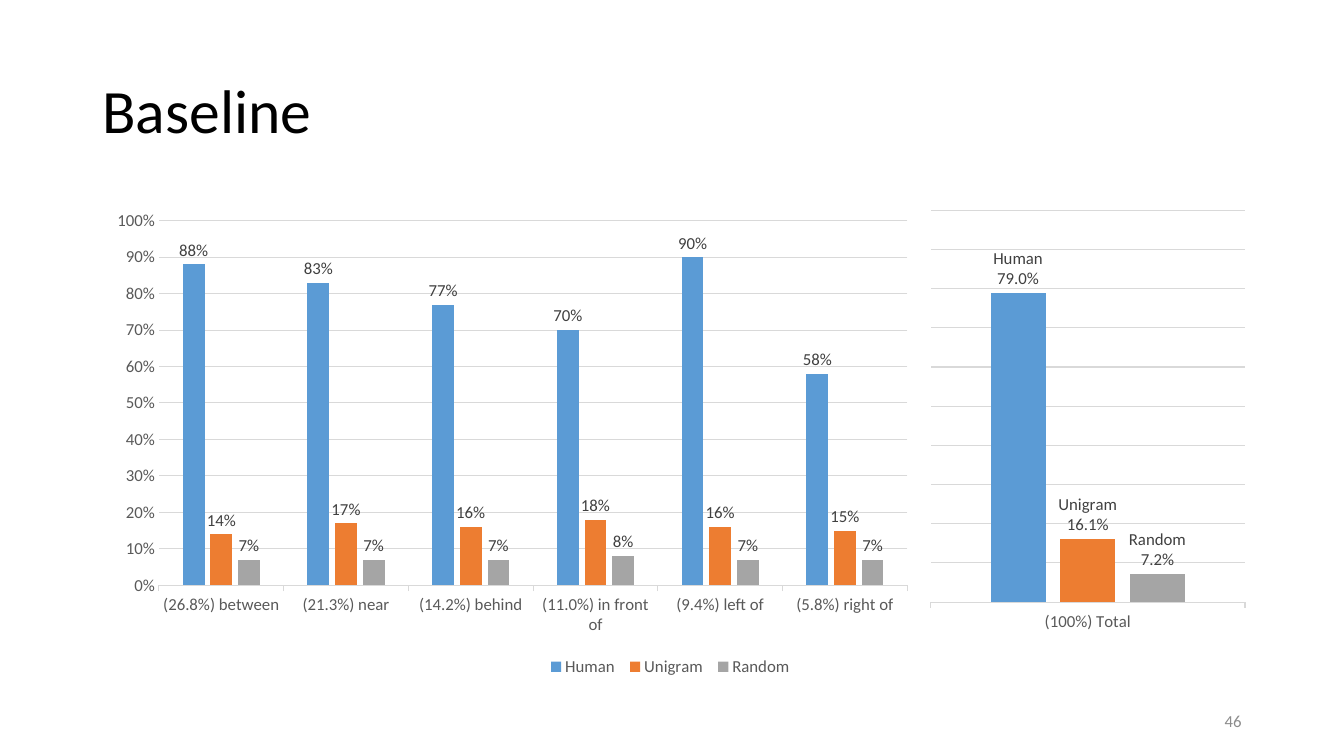
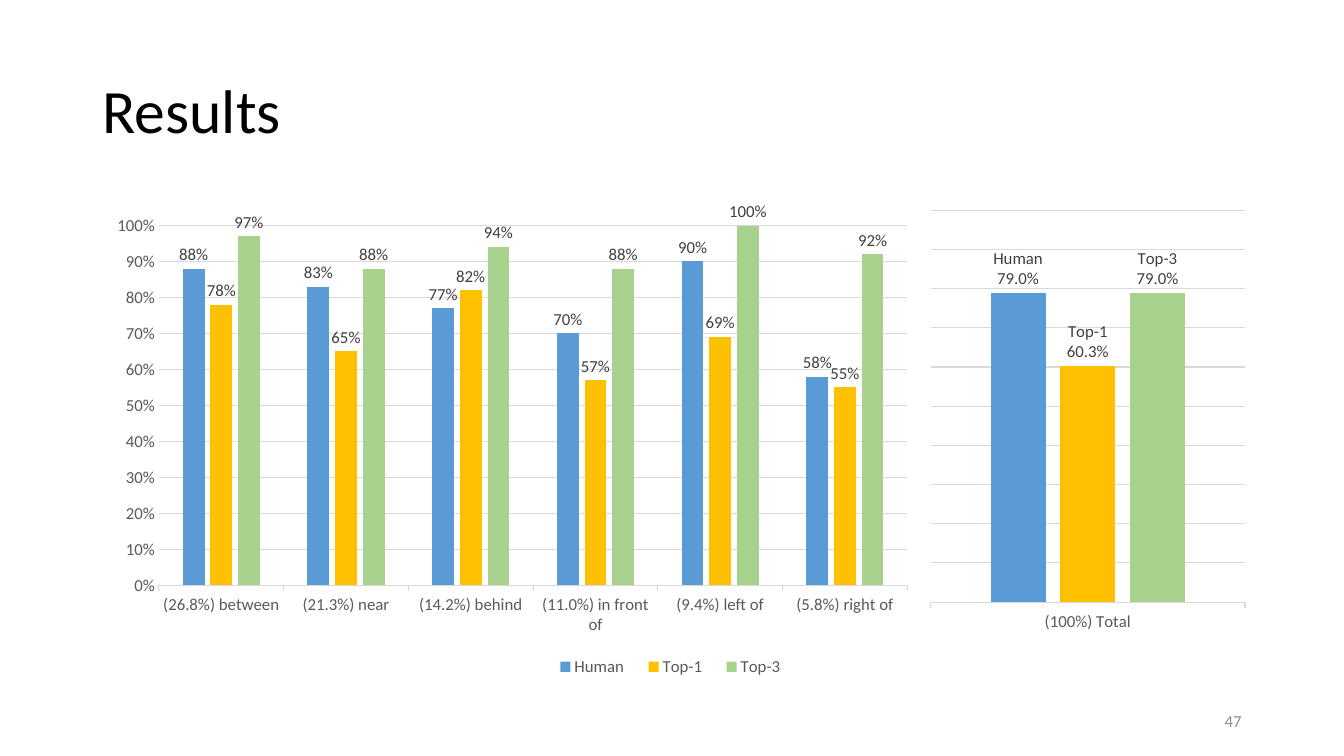
"""Builds two slides that compare localisation accuracy in clustered column charts."""
from dataclasses import dataclass

from lxml import etree
from pptx import Presentation
from pptx.chart.chart import Chart
from pptx.chart.data import CategoryChartData
from pptx.chart.series import BarSeries
from pptx.dml.color import RGBColor
from pptx.enum.chart import XL_CHART_TYPE, XL_LABEL_POSITION, XL_LEGEND_POSITION, XL_TICK_MARK
from pptx.enum.text import MSO_ANCHOR, MSO_AUTO_SIZE, PP_ALIGN
from pptx.oxml.ns import qn
from pptx.slide import Slide
from pptx.util import Emu, Inches, Pt

COLUMNS = XL_CHART_TYPE.COLUMN_CLUSTERED
OUTSIDE_END = XL_LABEL_POSITION.OUTSIDE_END
LEGEND_BOTTOM = XL_LEGEND_POSITION.BOTTOM
TICK_OUTSIDE, TICK_NONE = XL_TICK_MARK.OUTSIDE, XL_TICK_MARK.NONE
MIDDLE, NO_FIT = MSO_ANCHOR.MIDDLE, MSO_AUTO_SIZE.NONE
LEFT, RIGHT = PP_ALIGN.LEFT, PP_ALIGN.RIGHT

FONT = "Calibri"
BLACK, AXIS_TEXT, LABEL_TEXT = "000000", "595959", "404040"
NUMBER_GREY, GRID_GREY = "8C8C8C", "D9D9D9"
BLUE, ORANGE, GREY, GOLD, GREEN = "5B9BD5", "ED7D31", "A5A5A5", "FFC000", "A9D18E"
SLIDE_WIDTH, SLIDE_HEIGHT = Inches(13.33), Inches(7.5)
GRID_COLUMNS, GRID_ROWS = 160, 90
TITLE_ONLY = 5


@dataclass(frozen=True)
class Area:
    """A rectangle, in grid cells on a slide or in shares of a chart."""
    left: float
    top: float
    width: float
    height: float

    def on_slide(self) -> tuple[Emu, Emu, Emu, Emu]:
        """Turn grid cells into slide lengths."""
        column, row = SLIDE_WIDTH / GRID_COLUMNS, SLIDE_HEIGHT / GRID_ROWS
        return (Emu(round(self.left * column)), Emu(round(self.top * row)),
                Emu(round(self.width * column)), Emu(round(self.height * row)))


@dataclass(frozen=True)
class Method:
    """One measured method with its colour and accuracies."""
    name: str
    color: str
    by_relation: tuple[float, ...]
    total: float


@dataclass(frozen=True)
class Page:
    """The content of one slide."""
    title: str
    number: int
    plot: Area
    methods: tuple[Method, ...]


TITLE_AREA = Area(11, 4.8, 138, 17.4)
NUMBER_AREA = Area(113, 83.4, 36, 4.8)
RELATION_AREA = Area(11, 24, 99, 57.1)
TOTAL_AREA = Area(110, 24, 39, 52.4)
TOTAL_PLOT = Area(0.02, 0.02, 0.96, 0.89)
LEGEND_AREA = Area(0.54, 0.94, 0.31, 0.06)

RELATIONS = ("(26.8%) between", "(21.3%) near", "(14.2%) behind",
             "(11.0%) in front of", "(9.4%) left of", "(5.8%) right of")
HUMAN = Method("Human", BLUE, (0.88, 0.83, 0.77, 0.7, 0.9, 0.58), 0.79)
PAGES = (
    Page("Baseline", 46, Area(0.08, 0.04, 0.9, 0.76), (
        HUMAN,
        Method("Unigram", ORANGE, (0.14, 0.17, 0.16, 0.18, 0.16, 0.15), 0.161),
        Method("Random", GREY, (0.07, 0.07, 0.07, 0.08, 0.07, 0.07), 0.072))),
    Page("Results", 47, Area(0.08, 0.05, 0.9, 0.75), (
        HUMAN,
        Method("Top-1", GOLD, (0.78, 0.65, 0.82, 0.57, 0.69, 0.55), 0.603),
        Method("Top-3", GREEN, (0.97, 0.88, 0.94, 0.88, 1, 0.92), 0.79))),
)


def rgb(color: str) -> RGBColor:
    """Turn a hex string into a colour."""
    return RGBColor.from_string(color)


def style_font(font, size: float, color: str) -> None:
    """Give a font the shared face, a size and a colour."""
    font.name, font.size, font.bold = FONT, Pt(size), False
    font.color.rgb = rgb(color)


def write_text(box, area: Area, text: str, size: float, color: str, align: PP_ALIGN) -> None:
    """Place a box and fill it with one formatted line."""
    box.left, box.top, box.width, box.height = area.on_slide()
    frame = box.text_frame
    frame.text = text
    frame.word_wrap, frame.auto_size, frame.vertical_anchor = True, NO_FIT, MIDDLE
    paragraph = frame.paragraphs[0]
    paragraph.alignment = align
    style_font(paragraph.runs[0].font, size, color)


def set_layout(parent: etree._Element, position: int, area: Area, inner: bool) -> None:
    """Fix the place of a chart part in shares of the chart."""
    for old in parent.findall(qn("c:layout")):
        parent.remove(old)
    layout = etree.Element(qn("c:layout"))
    manual = etree.SubElement(layout, qn("c:manualLayout"))
    settings = [("layoutTarget", "inner")] if inner else []
    settings += [("xMode", "edge"), ("yMode", "edge"), ("x", area.left),
                 ("y", area.top), ("w", area.width), ("h", area.height)]
    for tag, value in settings:
        etree.SubElement(manual, qn(f"c:{tag}")).set("val", str(value))
    parent.insert(position, layout)


def style_line(line) -> None:
    """Draw a thin light grey line."""
    line.color.rgb = rgb(GRID_GREY)
    line.width = Pt(0.75)


def style_series(series: BarSeries, color: str, label_format: str, named: bool) -> None:
    """Colour the columns of a series and label them."""
    series.format.fill.solid()
    series.format.fill.fore_color.rgb = rgb(color)
    series.format.line.fill.background()
    series.invert_if_negative = False
    labels = series.data_labels
    labels.show_value, labels.show_series_name = True, named
    labels.number_format, labels.number_format_is_linked = label_format, False
    labels.position = OUTSIDE_END
    style_font(labels.font, 12, LABEL_TEXT)
    if named:
        separator = etree.Element(qn("c:separator"))
        separator.text = "\n"
        labels._element.find(qn("c:showBubbleSize")).addnext(separator)


def add_columns(slide: Slide, area: Area, plot_area: Area, categories: tuple[str, ...],
                methods: tuple[Method, ...], total: bool) -> Chart:
    """Add a clustered column chart of the totals or of each relation."""
    label_format = "0.0%" if total else "0%"
    data = CategoryChartData(number_format=label_format)
    data.categories = categories
    for method in methods:
        data.add_series(method.name, (method.total,) if total else method.by_relation)
    chart = slide.shapes.add_chart(COLUMNS, *area.on_slide(), data).chart
    style_font(chart.font, 10, BLACK)
    chart.has_title = chart.has_legend = False
    plot = chart.plots[0]
    plot.gap_width, plot.overlap, plot.vary_by_categories = 219, -27, False
    for series, method in zip(plot.series, methods):
        style_series(series, method.color, label_format, total)
    category_axis, value_axis = chart.category_axis, chart.value_axis
    category_axis.major_tick_mark, category_axis.minor_tick_mark = TICK_OUTSIDE, TICK_NONE
    style_line(category_axis.format.line)
    style_font(category_axis.tick_labels.font, 12, AXIS_TEXT)
    value_axis.minimum_scale, value_axis.maximum_scale, value_axis.major_unit = 0, 1, 0.1
    value_axis.major_tick_mark = value_axis.minor_tick_mark = TICK_NONE
    value_axis.has_major_gridlines = True
    style_line(value_axis.major_gridlines.format.line)
    value_axis.format.line.fill.background()
    value_axis.tick_labels.number_format = "0%"
    value_axis.tick_labels.number_format_is_linked = False
    style_font(value_axis.tick_labels.font, 12, AXIS_TEXT)
    value_axis.visible = not total
    set_layout(chart._chartSpace.find(f".//{qn('c:plotArea')}"), 0, plot_area, True)
    return chart


def add_legend(chart: Chart) -> None:
    """Add a legend below the plot, centred on the slide."""
    chart.has_legend = True
    legend = chart.legend
    legend.position, legend.include_in_layout = LEGEND_BOTTOM, False
    style_font(legend.font, 12, AXIS_TEXT)
    set_layout(legend._element, 1, LEGEND_AREA, False)


def add_page(deck: Presentation, page: Page) -> None:
    """Add a slide with its title, number and two charts."""
    slide = deck.slides.add_slide(deck.slide_layouts[TITLE_ONLY])
    title = slide.shapes.title
    write_text(title, TITLE_AREA, page.title, 44, BLACK, LEFT)
    title.text_frame.paragraphs[0].line_spacing = 0.9
    number = slide.shapes.add_textbox(*NUMBER_AREA.on_slide())
    write_text(number, NUMBER_AREA, str(page.number), 12, NUMBER_GREY, RIGHT)
    add_legend(add_columns(slide, RELATION_AREA, page.plot, RELATIONS, page.methods, False))
    add_columns(slide, TOTAL_AREA, TOTAL_PLOT, ("(100%) Total",), page.methods, True)


def main() -> None:
    """Build and save the deck."""
    deck = Presentation()
    deck.slide_width, deck.slide_height = SLIDE_WIDTH, SLIDE_HEIGHT
    for page in PAGES:
        add_page(deck, page)
    deck.save("out.pptx")


if __name__ == "__main__":
    main()
